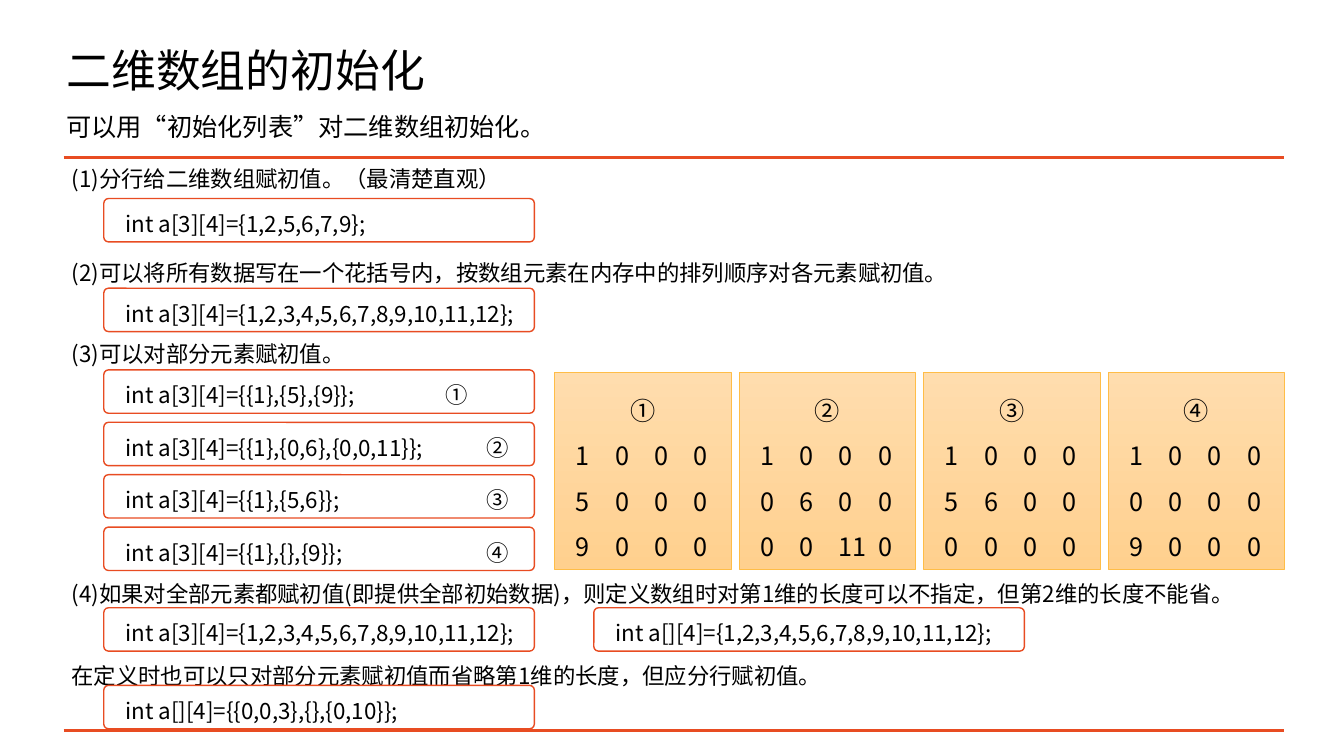
from lxml.etree import SubElement
from pptx import Presentation
from pptx.dml.color import RGBColor
from pptx.enum.shapes import MSO_CONNECTOR, MSO_SHAPE
from pptx.enum.text import MSO_ANCHOR, MSO_AUTO_SIZE, PP_ALIGN
from pptx.oxml.ns import qn
from pptx.util import Inches, Pt

FONT = "Noto Sans CJK SC"
COLORS = {"text": "000000", "accent": "E84C22", "paper": "FFFFFF",
          "gold": "FFBD47", "light": "FFDDAE", "deep": "FFD08E"}
LEFT, WIDTH = 0.63, 12.1
CODE_LEFT, CODE_W, CODE_H = 1.03, 4.27, 0.43
NOTES = [
    ("(1)分行给二维数组赋初值。（最清楚直观）", 0),
    ("(2)可以将所有数据写在一个花括号内，按数组元素在内存中的排列顺序对各元素赋初值。", 47.5),
    ("(3)可以对部分元素赋初值。", 39),
    ("(4)如果对全部元素都赋初值(即提供全部初始数据)，则定义数组时对第1维的长度可以不指定，但第2维的长度不能省。", 152.5),
    ("在定义时也可以只对部分元素赋初值而省略第1维的长度，但应分行赋初值。", 39),
]
FULL_LIST = "{1,2,3,4,5,6,7,8,9,10,11,12};"
CODES = [
    (CODE_LEFT, 1.97, "int a[3][4]={1,2,5,6,7,9};"),
    (CODE_LEFT, 2.86, "int a[3][4]=" + FULL_LIST),
    (CODE_LEFT, 6.03, "int a[3][4]=" + FULL_LIST),
    (5.89, 6.03, "int a[][4]=" + FULL_LIST),
    (CODE_LEFT, 6.8, "int a[][4]={{0,0,3},{},{0,10}};"),
]
PARTIAL = [
    ("①", "{{1},{5},{9}};", 3.18, ["1000", "5000", "9000"]),
    ("②", "{{1},{0,6},{0,0,11}};", 3.58, ["1000", "0600", ["0", "0", "11", "0"]]),
    ("③", "{{1},{5,6}};", 3.58, ["1000", "5600", "0000"]),
    ("④", "{{1},{},{9}};", 3.58, ["1000", "0000", "9000"]),
]


def rgb(name):
    """Return a palette colour."""
    return RGBColor.from_string(COLORS[name])


def place(sp, x, y, w, h):
    """Move a shape to a box given in inches."""
    sp.left, sp.top, sp.width, sp.height = (Inches(v) for v in (x, y, w, h))


def set_insets(tf, left, top, right, bottom):
    """Set the inner margins of a text frame in inches."""
    tf.margin_left, tf.margin_top = Inches(left), Inches(top)
    tf.margin_right, tf.margin_bottom = Inches(right), Inches(bottom)


def style(p, size, spacing=1.0, align=PP_ALIGN.LEFT, before=0, tabs=()):
    """Format a paragraph and its runs."""
    p.alignment, p.line_spacing, p.space_before = align, spacing, Pt(before)
    if tabs:
        tab_list = SubElement(p._p.get_or_add_pPr(), qn("a:tabLst"))
        for pos in tabs:
            SubElement(tab_list, qn("a:tab"), pos=str(Inches(pos)), algn="l")
    for r in p.runs:
        r.font.size, r.font.name = Pt(size), FONT
        r.font.color.rgb = rgb("text")
        SubElement(r._r.get_or_add_rPr(), qn("a:ea"), typeface=FONT)


def drop_bullet(p):
    """Remove the bullet and the hanging indent of a paragraph."""
    pPr = p._p.get_or_add_pPr()
    pPr.set("marL", "0")
    pPr.set("indent", "0")
    SubElement(pPr, qn("a:buNone"))


def add_box(slide, kind, x, y, w, h, line, weight):
    """Add an outlined shape without shadow."""
    sp = slide.shapes.add_shape(kind, *(Inches(v) for v in (x, y, w, h)))
    sp.shadow.inherit = False
    sp.line.color.rgb, sp.line.width = rgb(line), Pt(weight)
    return sp


def add_rule(slide, y):
    """Draw a full-width horizontal rule."""
    line = slide.shapes.add_connector(MSO_CONNECTOR.STRAIGHT, Inches(LEFT), Inches(y),
                                      Inches(LEFT + WIDTH), Inches(y))
    line.line.color.rgb, line.line.width = rgb("accent"), Pt(2)
    SubElement(line._element.spPr, qn("a:effectLst"))


def add_header(slide):
    """Fill the title and the line below it."""
    title = slide.shapes.title
    place(title, 0.56, 0, 6.48, 1.45)
    tf = title.text_frame
    tf.text = "二维数组的初始化"
    tf.auto_size, tf.vertical_anchor = MSO_AUTO_SIZE.NONE, MSO_ANCHOR.MIDDLE
    style(tf.paragraphs[0], 32, 0.9)
    sub = slide.shapes.add_textbox(Inches(0.56), Inches(1.06), Inches(9.72), Inches(0.4))
    sub.text_frame.word_wrap = True
    sub.text_frame.text = "可以用“初始化列表”对二维数组初始化。"
    style(sub.text_frame.paragraphs[0], 18)


def add_notes(slide, y, h):
    """Write the numbered rules between the two lines."""
    body = slide.placeholders[1]
    place(body, LEFT, y, WIDTH, h)
    tf = body.text_frame
    tf.text = "\n".join(text for text, _ in NOTES)
    tf.auto_size, tf.vertical_anchor = MSO_AUTO_SIZE.NONE, MSO_ANCHOR.TOP
    set_insets(tf, 0.08, 0.08, 0.08, 0.08)
    for p, (_, before) in zip(tf.paragraphs, NOTES):
        drop_bullet(p)
        style(p, 16, align=PP_ALIGN.JUSTIFY, before=before)


def add_code(slide, x, y, text, tabs=()):
    """Add a rounded box holding one line of code."""
    sp = add_box(slide, MSO_SHAPE.ROUNDED_RECTANGLE, x, y, CODE_W, CODE_H, "accent", 1)
    sp.adjustments[0] = 0.107
    sp.fill.solid()
    sp.fill.fore_color.rgb = rgb("paper")
    tf = sp.text_frame
    tf.word_wrap, tf.vertical_anchor = True, MSO_ANCHOR.TOP
    set_insets(tf, 0.2, 0.05, 0.1, 0.05)
    tf.text = text
    style(tf.paragraphs[0], 16, 1.2, tabs=tabs)


def add_matrix(slide, x, y, w, h, label, rows):
    """Add a gradient panel showing one array."""
    sp = add_box(slide, MSO_SHAPE.RECTANGLE, x, y, w, h, "gold", 0.5)
    sp.fill.gradient()
    sp.fill.gradient_angle = 270
    for stop, name, pos in zip(sp.fill.gradient_stops, ("light", "deep"), (0, 1)):
        stop.color.rgb, stop.position = rgb(name), pos
    tf = sp.text_frame
    tf.word_wrap, tf.vertical_anchor = True, MSO_ANCHOR.MIDDLE
    set_insets(tf, 0.21, 0.05, 0.21, 0.05)
    tf.text = "\n".join([label] + ["\t".join(row) for row in rows])
    head, *lines = tf.paragraphs
    style(head, 18, 1.5, PP_ALIGN.CENTER)
    for p in lines:
        style(p, 18, 1.5, tabs=[0.39 * i for i in (1, 2, 3)])


def main():
    """Build the slide and save it."""
    prs = Presentation()
    prs.slide_width, prs.slide_height = Inches(13.33), Inches(7.5)
    slide = prs.slides.add_slide(prs.slide_layouts[1])
    add_header(slide)
    add_notes(slide, 1.56, 5.69)
    for y in (1.56, 7.25):
        add_rule(slide, y)
    for x, y, text in CODES:
        add_code(slide, x, y, text)
    for i, (label, values, tab, rows) in enumerate(PARTIAL):
        add_code(slide, CODE_LEFT, 3.67 + 0.52 * i, f"int a[3][4]={values}\t{label}", [tab])
        add_matrix(slide, 5.5 + 1.83 * i, 3.69, 1.75, 1.96, label, rows)
    prs.save("out.pptx")


if __name__ == "__main__":
    main()
